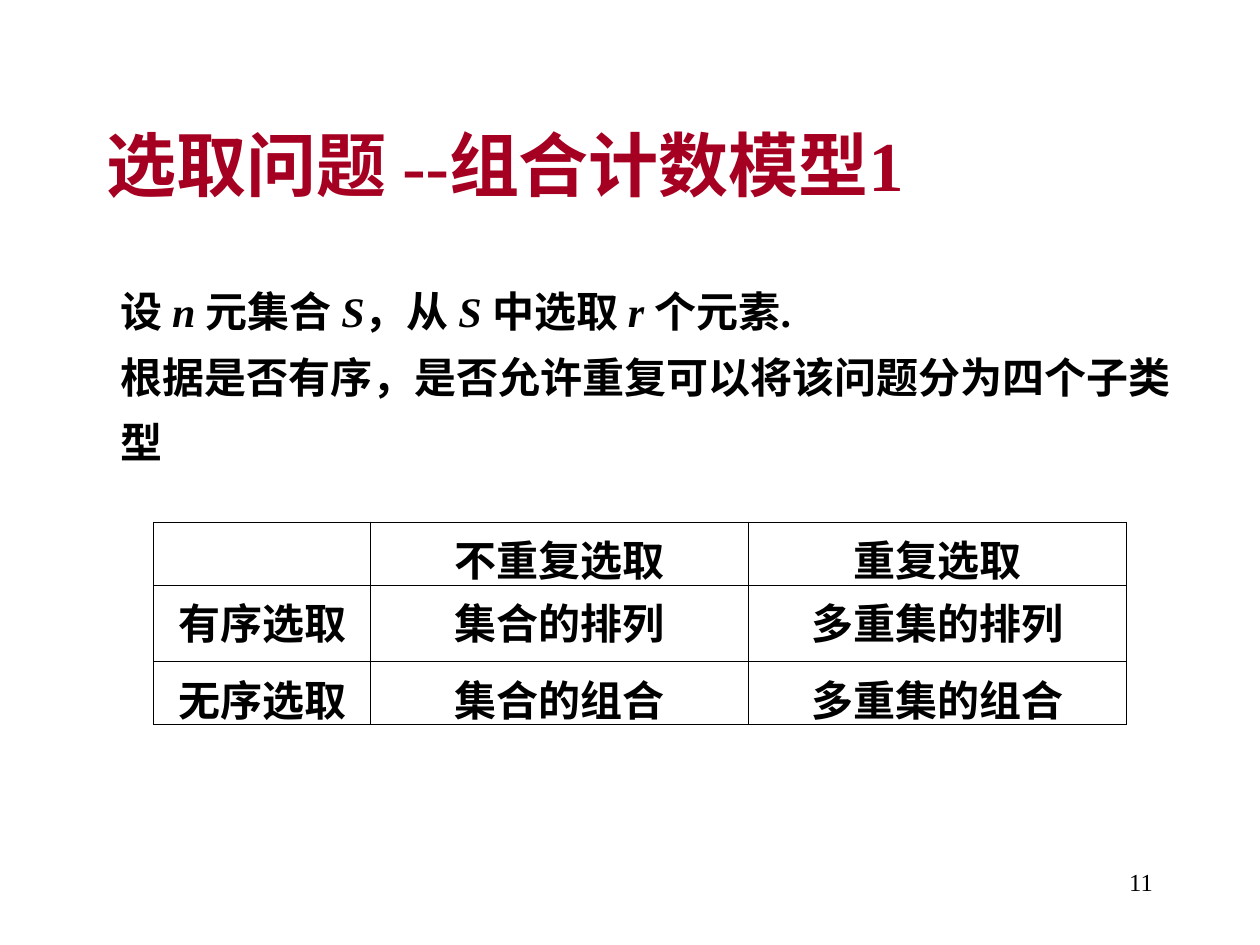
from lxml.etree import SubElement
from pptx import Presentation
from pptx.dml.color import RGBColor
from pptx.enum.text import MSO_ANCHOR, MSO_AUTO_SIZE, PP_ALIGN
from pptx.oxml import parse_xml
from pptx.oxml.ns import nsdecls, qn
from pptx.util import Cm, Pt


def color(code):
    return RGBColor.from_string(code)


def write(par, text, font="Times New Roman", size=24, ink="000000",
          bold=True, italic=False, align=PP_ALIGN.LEFT):
    """Add one run to a paragraph."""
    par.alignment = align
    run = par.add_run()
    run.text = text
    run.font.name = font
    run.font.size = Pt(size)
    run.font.bold = bold
    run.font.italic = italic
    run.font.color.rgb = color(ink)


class Deck:
    red, black, white = "A50021", "000000", "FFFFFF"
    rule = 0.45

    def __init__(self):
        self.file = Presentation()
        self.file.slide_width, self.file.slide_height = Cm(25.4), Cm(19.05)
        self.slide = self.file.slides.add_slide(self.file.slide_layouts[5])

    def title(self, text, left, top, width, height):
        shape = self.slide.shapes.title
        shape.left, shape.top = Cm(left), Cm(top)
        shape.width, shape.height = Cm(width), Cm(height)
        frame = shape.text_frame
        frame.auto_size = MSO_AUTO_SIZE.NONE
        frame.vertical_anchor = MSO_ANCHOR.MIDDLE
        write(frame.paragraphs[0], text, size=40, ink=self.red)

    def text(self, lines, left, top, width, height, space=1.0, **style):
        """Each line is a list of (text, italic) pairs."""
        box = self.slide.shapes.add_textbox(
            Cm(left), Cm(top), Cm(width), Cm(height))
        frame = box.text_frame
        frame.word_wrap = True
        for i, line in enumerate(lines):
            par = frame.add_paragraph() if i else frame.paragraphs[0]
            par.line_spacing = space
            for text, italic in line:
                write(par, text, italic=italic, **style)

    def table(self, rows, left, top, widths, heights):
        grid = self.slide.shapes.add_table(
            len(rows), len(widths), Cm(left), Cm(top),
            Cm(sum(widths)), Cm(sum(heights))).table
        grid.first_row = grid.horz_banding = False
        for col, width in zip(grid.columns, widths):
            col.width = Cm(width)
        for row, height, words in zip(grid.rows, heights, rows):
            row.height = Cm(height)
            for cell, text in zip(row.cells, words):
                self.cell(cell, text)

    def cell(self, cell, text):
        if text:
            write(cell.text_frame.paragraphs[0], text, align=PP_ALIGN.CENTER)
        # Half-clear fill
        cell.fill.solid()
        cell.fill.fore_color.rgb = color(self.white)
        props = cell._tc.get_or_add_tcPr()
        tint = props.find(".//" + qn("a:srgbClr"))
        SubElement(tint, qn("a:alpha")).set("val", "50000")
        # Borders come before the fill
        for i, side in enumerate("LRTB"):
            props.insert(i, parse_xml(
                f'<a:ln{side} {nsdecls("a")} w="{int(Pt(self.rule))}">'
                f'<a:solidFill><a:srgbClr val="{self.black}"/></a:solidFill>'
                f'</a:ln{side}>'))


def main():
    deck = Deck()

    # Heading
    deck.title("选取问题 --组合计数模型1", 1.9, 1.7, 21.6, 3.18)

    # Problem statement
    deck.text([
        [("设 ", False), ("n ", True), ("元集合 ", False), ("S", True),
         ("，从 ", False), ("S ", True), ("中选取 ", False), ("r ", True),
         ("个元素.", False)],
        [("根据是否有序，是否允许重复可以将该问题分为四个子类型", False)],
    ], 2.18, 5.33, 21.72, 4.22, space=1.3)

    # Four kinds of selection
    deck.table([
        ["", "不重复选取", "重复选取"],
        ["有序选取", "集合的排列", "多重集的排列"],
        ["无序选取", "集合的组合", "多重集的组合"],
    ], 3.1, 10.52, [4.37, 7.62, 7.62], [1.27, 1.55, 1.27])

    # Page number
    deck.text([[("11", False)]], 18.21, 17.35, 5.28, 1.27,
              size=14, bold=False, align=PP_ALIGN.RIGHT)

    deck.file.save("out.pptx")


if __name__ == "__main__":
    main()
